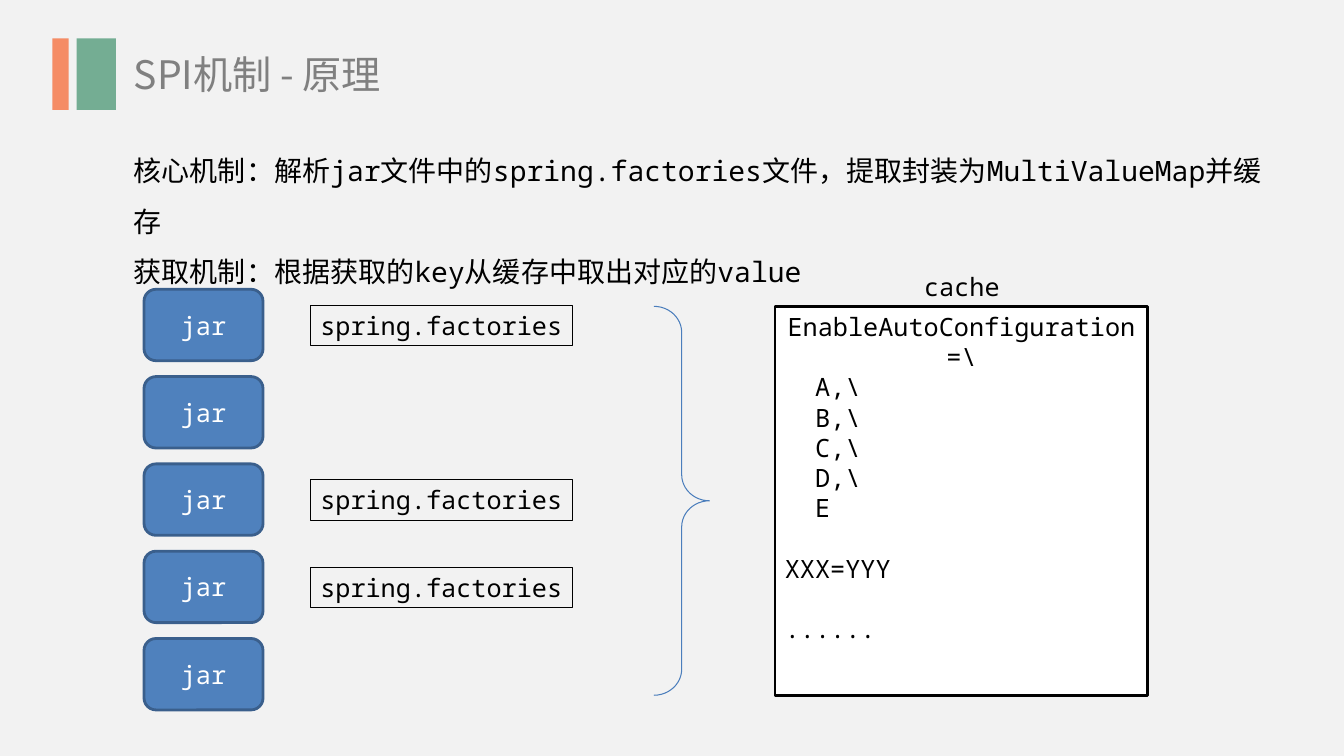
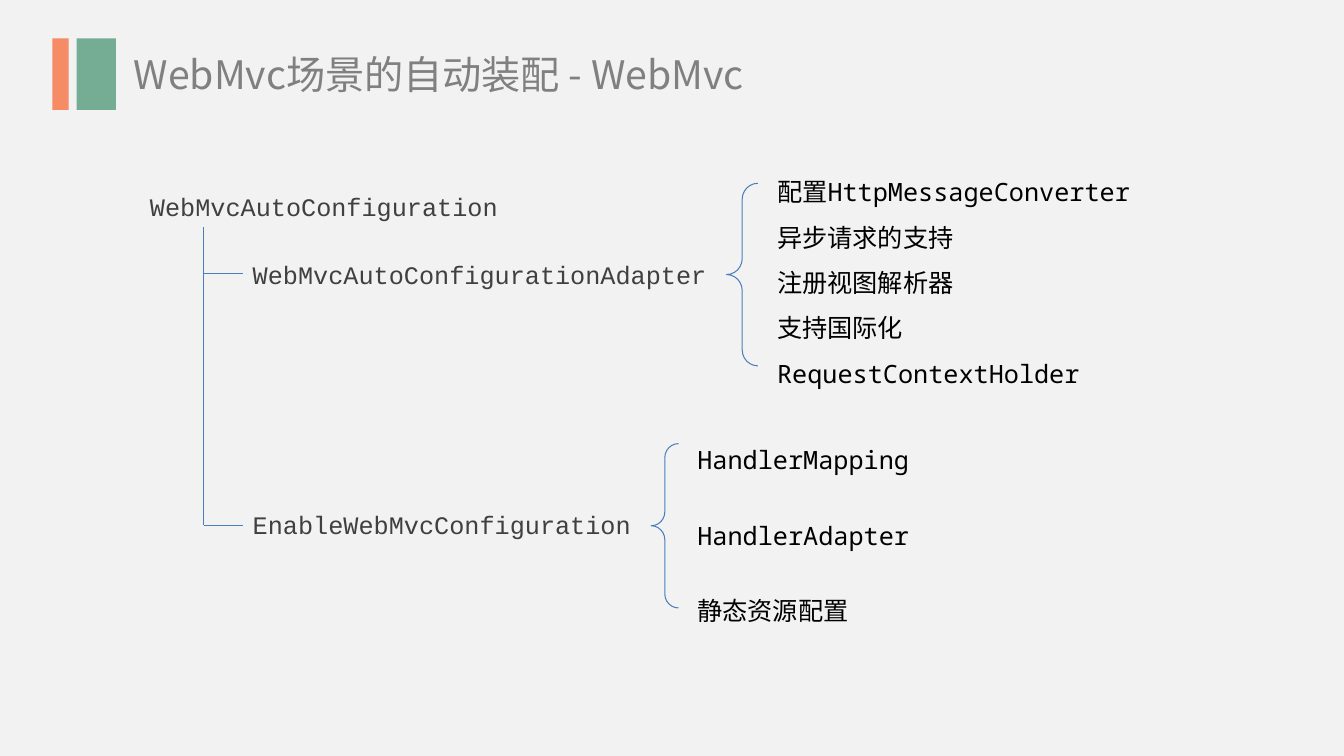
from dataclasses import dataclass
from typing import Optional

from lxml import etree
from pptx import Presentation
from pptx.dml.color import RGBColor
from pptx.enum.shapes import MSO_CONNECTOR, MSO_SHAPE
from pptx.enum.text import MSO_ANCHOR, MSO_AUTO_SIZE, PP_ALIGN
from pptx.oxml.ns import qn
from pptx.util import Cm, Pt

RECTANGLE, ROUNDED = MSO_SHAPE.RECTANGLE, MSO_SHAPE.ROUNDED_RECTANGLE
LEFT_BRACE, RIGHT_BRACE = MSO_SHAPE.LEFT_BRACE, MSO_SHAPE.RIGHT_BRACE
STRAIGHT = MSO_CONNECTOR.STRAIGHT
LEFT, CENTER = PP_ALIGN.LEFT, PP_ALIGN.CENTER
TOP, MIDDLE = MSO_ANCHOR.TOP, MSO_ANCHOR.MIDDLE
NO_AUTO_SIZE = MSO_AUTO_SIZE.NONE

BACKGROUND = RGBColor(0xF2, 0xF2, 0xF2)
ORANGE = RGBColor(0xF5, 0x8C, 0x65)
GREEN = RGBColor(0x74, 0xAD, 0x93)
TITLE_GRAY = RGBColor(0x80, 0x80, 0x80)
CLASS_GRAY = RGBColor(0x40, 0x40, 0x40)
JAR_BLUE = RGBColor(0x4F, 0x81, 0xBD)
JAR_EDGE = RGBColor(0x3A, 0x5F, 0x8C)
LINE_BLUE = RGBColor(0x4B, 0x7E, 0xBC)
BLACK = RGBColor(0, 0, 0)
WHITE = RGBColor(0xFF, 0xFF, 0xFF)

CHINESE = "Noto Sans CJK SC"
MONO = "Noto Sans Mono"
COURIER = "Courier New"
LINE_RATIO = 1.2  # line height of single-spaced text, in font sizes


@dataclass(frozen=True)
class Box:
    """A frame in centimetres."""
    left: float
    top: float
    width: float
    height: float


@dataclass(frozen=True)
class TextStyle:
    size: float = 18
    font: str = MONO
    color: RGBColor = BLACK
    align: PP_ALIGN = LEFT
    anchor: MSO_ANCHOR = TOP
    spacing: float = 1


@dataclass(frozen=True)
class Line:
    """One paragraph; indent and space before are in points."""
    text: str
    align: Optional[PP_ALIGN] = None
    indent: float = 0
    before: float = 0


@dataclass(frozen=True)
class Look:
    fill: Optional[RGBColor] = None
    line: Optional[RGBColor] = None
    width: float = 0.75


TITLE = TextStyle(28, CHINESE, TITLE_GRAY)
CENTERED = TextStyle(align=CENTER)
JAR_TEXT = TextStyle(color=WHITE, align=CENTER, anchor=MIDDLE)
# The class names sit on lines as tall as 24 pt text
CLASS_NAME = TextStyle(font=COURIER, color=CLASS_GRAY, spacing=24 / 18)
THIN_BLUE = Look(line=LINE_BLUE)


def place(shape, box: Box) -> None:
    for name in ("left", "top", "width", "height"):
        setattr(shape, name, Cm(getattr(box, name)))


def write(shape, lines: list[Line], style: TextStyle) -> None:
    frame = shape.text_frame
    frame_format = {"word_wrap": True, "auto_size": NO_AUTO_SIZE,
                    "vertical_anchor": style.anchor}
    for name, value in frame_format.items():
        setattr(frame, name, value)
    for number, line in enumerate(lines):
        paragraph = frame.paragraphs[0] if number == 0 else frame.add_paragraph()
        paragraph_format = {
            "alignment": style.align if line.align is None else line.align,
            "line_spacing": Pt(style.size * LINE_RATIO * style.spacing),
            "space_before": Pt(line.before),
            "space_after": Pt(0),
        }
        for name, value in paragraph_format.items():
            setattr(paragraph, name, value)
        properties = paragraph._p.get_or_add_pPr()
        properties.set("marL", str(int(Pt(line.indent))))
        properties.set("indent", "0")
        etree.SubElement(properties, qn("a:buNone"))

        run = paragraph.add_run()
        run.text = line.text
        for name, value in {"size": Pt(style.size), "name": style.font}.items():
            setattr(run.font, name, value)
        run.font.color.rgb = style.color
        east_asian = etree.SubElement(run._r.get_or_add_rPr(), qn("a:ea"))
        east_asian.set("typeface", CHINESE)


def add_label(slide, box: Box, text: str, style: TextStyle) -> None:
    label = slide.shapes.add_textbox(0, 0, 0, 0)
    place(label, box)
    write(label, [Line(text)], style)


def add_figure(slide, kind: MSO_SHAPE, box: Box, look: Look):
    shape = slide.shapes.add_shape(kind, 0, 0, 0, 0)
    place(shape, box)
    shape.shadow.inherit = False
    if look.fill is None:
        shape.fill.background()
    else:
        shape.fill.solid()
        shape.fill.fore_color.rgb = look.fill
    if look.line is None:
        shape.line.fill.background()
    else:
        shape.line.color.rgb = look.line
        shape.line.width = Pt(look.width)
    return shape


def add_brace(slide, kind: MSO_SHAPE, box: Box, curve: float) -> None:
    brace = add_figure(slide, kind, box, THIN_BLUE)
    brace.adjustments[0] = curve


def add_line(slide, x1: float, y1: float, x2: float, y2: float) -> None:
    line = slide.shapes.add_connector(STRAIGHT, Cm(x1), Cm(y1), Cm(x2), Cm(y2))
    line.line.color.rgb = LINE_BLUE
    line.line.width = Pt(THIN_BLUE.width)
    etree.SubElement(line._element.spPr, qn("a:effectLst"))


def fill_list(slide, index: int, box: Box, texts: list[str], style: TextStyle) -> None:
    body = slide.placeholders[index]
    place(body, box)
    write(body, [Line(text) for text in texts], style)


def add_slide(presentation, layout: int, title: str, title_width: float):
    """Add a slide with the shared bars and title."""
    slide = presentation.slides.add_slide(presentation.slide_layouts[layout])
    add_figure(slide, RECTANGLE, Box(1.32, 0.97, 0.41, 1.8), Look(ORANGE))
    add_figure(slide, RECTANGLE, Box(1.93, 0.97, 0.99, 1.8), Look(GREEN))
    place(slide.shapes.title, Box(3.12, 1.14, title_width, 1.45))
    write(slide.shapes.title, [Line(title)], TITLE)
    return slide


def build_spi_slide(presentation) -> None:
    slide = add_slide(presentation, 1, "SPI机制 - 原理", 7.01)
    fill_list(slide, 1, Box(3.12, 3.33, 29.01, 2.82), [
        "核心机制：解析jar文件中的spring.factories文件，提取封装为MultiValueMap并缓存",
        "获取机制：根据获取的key从缓存中取出对应的value",
    ], TextStyle(size=20, spacing=1.5))

    # Jars, some of which hold a factories file
    first_top, pitch = 7.29, 2.2
    for row, has_factories in enumerate([True, False, True, True, False]):
        top = first_top + row * pitch
        jar = add_figure(slide, ROUNDED, Box(3.63, top, 3, 1.8),
                         Look(JAR_BLUE, JAR_EDGE, 2))
        write(jar, [Line("jar")], JAR_TEXT)
        if has_factories:
            factories = add_figure(slide, RECTANGLE, Box(7.82, top + 0.4, 6.6, 1.02),
                                   Look(line=BLACK))
            write(factories, [Line("spring.factories")], CENTERED)

    # Cache built from the files
    add_brace(slide, RIGHT_BRACE, Box(16.48, 7.72, 1.4, 9.8), 0.47)
    cache = add_figure(slide, RECTANGLE, Box(19.53, 7.72, 9.4, 9.8),
                       Look(WHITE, BLACK, 2))
    gap = 18 * LINE_RATIO
    entries = [Line(text, indent=21.6) for text in ("A,\\", "B,\\", "C,\\", "D,\\", "E")]
    write(cache, [Line("EnableAutoConfiguration=\\", CENTER), *entries,
                  Line("XXX=YYY", before=gap), Line("......", before=gap)], TextStyle())
    add_label(slide, Box(21.74, 6.71, 5, 1.02), "cache", CENTERED)


def build_web_slide(presentation) -> None:
    slide = add_slide(presentation, 3, "WebMvc场景的自动装配 - WebMvc", 16.89)

    # Class tree
    trunk, branch_end = 5.13, 6.12
    add_label(slide, Box(3.53, 4.45, 9.5, 1.27), "WebMvcAutoConfiguration", CLASS_NAME)
    add_label(slide, Box(branch_end, 6.15, 12.19, 1.27),
              "WebMvcAutoConfigurationAdapter", CLASS_NAME)
    add_label(slide, Box(branch_end, 12.45, 10.26, 1.27),
              "EnableWebMvcConfiguration", CLASS_NAME)
    branches = (6.88, 13.23)
    add_line(slide, trunk, 5.72, trunk, branches[-1])
    for y in branches:
        add_line(slide, trunk, y, branch_end, y)

    # What each class provides
    add_brace(slide, LEFT_BRACE, Box(18.31, 4.62, 0.79, 4.6), 0.51)
    fill_list(slide, 1, Box(19.33, 3.94, 11.58, 5.89), [
        "配置HttpMessageConverter", "异步请求的支持", "注册视图解析器",
        "支持国际化", "RequestContextHolder",
    ], TextStyle(spacing=1.5))
    add_brace(slide, LEFT_BRACE, Box(16.41, 11.18, 0.69, 4.14), 0.51)
    fill_list(slide, 2, Box(17.32, 9.93, 11.58, 5.72),
              ["HandlerMapping", "HandlerAdapter", "静态资源配置"],
              TextStyle(spacing=2.5))


def main() -> None:
    presentation = Presentation()
    presentation.slide_width, presentation.slide_height = Cm(33.87), Cm(19.05)
    background = presentation.slide_master.background.fill
    background.solid()
    background.fore_color.rgb = BACKGROUND
    build_spi_slide(presentation)
    build_web_slide(presentation)
    presentation.save("out.pptx")


if __name__ == "__main__":
    main()
